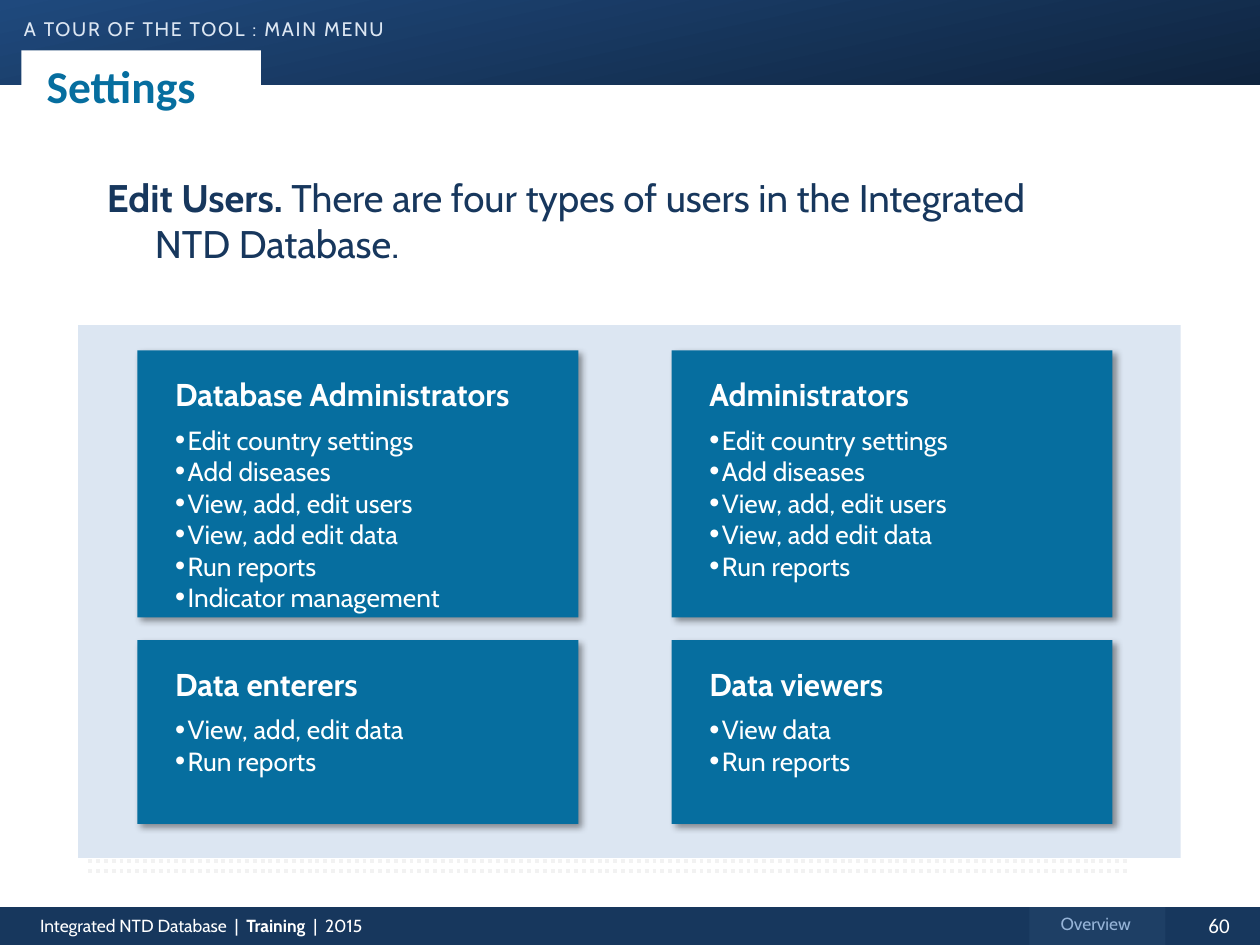
from dataclasses import dataclass

from lxml.etree import SubElement
from pptx import Presentation
from pptx.dml.color import RGBColor
from pptx.enum.dml import MSO_LINE_DASH_STYLE as DASH
from pptx.enum.shapes import MSO_CONNECTOR as CONNECTOR, MSO_SHAPE as SHAPE
from pptx.enum.text import MSO_ANCHOR as ANCHOR, PP_ALIGN as ALIGN
from pptx.oxml.ns import qn
from pptx.util import Inches, Pt


@dataclass(frozen=True)
class Theme:
    """Colours, fonts and type sizes of the deck."""
    white: str = "FFFFFF"
    navy: str = "17375D"
    band_start: str = "1F497D"
    band_end: str = "0F243E"
    button: str = "1E3F65"
    button_text: str = "95B3D7"
    teal: str = "066E9F"
    pale: str = "DCE6F2"
    dots: str = "F2F2F2"
    shadow: str = "000000"
    body_font: str = "Cabin"
    title_font: str = "Calibri"
    title: int = 26
    lead: int = 22
    card_title: int = 18
    card_item: int = 15
    section: int = 14
    number: int = 12
    footer: int = 10


THEME = Theme()

CARDS = [
    [("Database Administrators",
      ["Edit country settings", "Add diseases", "View, add, edit users",
       "View, add edit data", "Run reports", "Indicator management"]),
     ("Administrators",
      ["Edit country settings", "Add diseases", "View, add, edit users",
       "View, add edit data", "Run reports"])],
    [("Data enterers", ["View, add, edit data", "Run reports"]),
     ("Data viewers", ["View data", "Run reports"])],
]


def add_block(page, left, top, width, height, color, kind=SHAPE.RECTANGLE):
    """Add a borderless filled shape."""
    block = page.shapes.add_shape(
        kind, Inches(left), Inches(top), Inches(width), Inches(height))
    block.shadow.inherit = False
    block.fill.solid()
    block.fill.fore_color.rgb = RGBColor.from_string(color)
    block.line.fill.background()
    return block


def set_frame(frame, insets=(0.1, 0.05, 0.1, 0.05), wrap=True, anchor=ANCHOR.TOP):
    """Set the insets, wrapping and anchor of a text frame."""
    frame.margin_left, frame.margin_top, frame.margin_right, frame.margin_bottom = map(
        Inches, insets)
    frame.word_wrap = wrap
    frame.vertical_anchor = anchor
    return frame


def add_label(page, left, top, width, height, **options):
    """Add a text box and return its frame."""
    box = page.shapes.add_textbox(
        Inches(left), Inches(top), Inches(width), Inches(height))
    return set_frame(box.text_frame, **options)


def add_span(para, text, size, color, bold=False, font=THEME.body_font):
    """Add one styled run to a paragraph."""
    span = para.add_run()
    span.text = text
    span.font.size = Pt(size)
    span.font.name = font
    span.font.bold = bold
    span.font.color.rgb = RGBColor.from_string(color)
    return span


def set_indent(para, margin, indent):
    """Set the left margin and first-line indent of a paragraph."""
    props = para._p.get_or_add_pPr()
    props.set("marL", str(Inches(margin)))
    props.set("indent", str(Inches(indent)))
    return props


def add_header(page, left, top, width, height):
    """Draw the gradient band, the section name and the title tab."""
    band = add_block(page, left, top, width, height, THEME.band_start)
    band.fill.gradient()
    band.fill.gradient_angle = 360 - 78
    for stop, color in zip(band.fill.gradient_stops, (THEME.band_start, THEME.band_end)):
        stop.color.rgb = RGBColor.from_string(color)

    section = add_label(page, left + 0.19, top + 0.05, 2.92, 0.34,
                        insets=(0, 0.05, 0, 0.05), wrap=False)
    span = add_span(section.paragraphs[0], "a tour of the tool : main menu",
                    THEME.section, THEME.pale)
    props = span._r.get_or_add_rPr()
    props.set("cap", "small")
    props.set("spc", "100")

    tab = add_block(page, left + 0.17, top + 0.4, 1.9, 0.56, THEME.white,
                    SHAPE.ROUND_2_SAME_RECTANGLE)
    tab.adjustments[0] = 0
    frame = set_frame(tab.text_frame, (0.2, 0.05, 0.2, 0.05), False, ANCHOR.MIDDLE)
    frame.paragraphs[0].alignment = ALIGN.LEFT
    add_span(frame.paragraphs[0], "Settings", THEME.title, THEME.teal, True,
             THEME.title_font)


def add_footer(page, left, top, width, height):
    """Draw the footer band with its text, button and page number."""
    add_block(page, left, top, width, height, THEME.navy)
    add_block(page, left + 8.17, top, 1.08, 0.31, THEME.button)

    credit = add_label(page, left + 0.22, top + 0.01, 4.53, 0.27).paragraphs[0]
    for text, bold in (("Integrated NTD Database  |  ", False),
                       ("Training", True), ("  |  2015", False)):
        add_span(credit, text, THEME.footer, THEME.white, bold)

    button = add_label(page, left + 8.17, top, 1.05, 0.27).paragraphs[0]
    button.alignment = ALIGN.CENTER
    add_span(button, "Overview", THEME.footer, THEME.button_text)

    number = add_label(page, left + 9.35, top - 0.01, 0.65, 0.3).paragraphs[0]
    number.alignment = ALIGN.CENTER
    add_span(number, "60", THEME.number, THEME.white, font=THEME.title_font)


def add_lead(page, left, top, width, height):
    """Write the opening sentence with a hanging indent."""
    para = add_label(page, left, top, width, height).paragraphs[0]
    set_indent(para, 0.38, -0.38)
    add_span(para, "Edit Users. ", THEME.lead, THEME.navy, True)
    add_span(para, "There are four types of users in the Integrated NTD Database.",
             THEME.lead, THEME.navy)


def add_dotted_rule(page, left, top, width):
    """Draw one horizontal dotted line."""
    rule = page.shapes.add_connector(
        CONNECTOR.STRAIGHT, Inches(left), Inches(top), Inches(left + width), Inches(top))
    rule.line.color.rgb = RGBColor.from_string(THEME.dots)
    rule.line.width = Pt(2.25)
    rule.line.dash_style = DASH.ROUND_DOT
    SubElement(rule._element.spPr, qn("a:effectLst"))


def add_card(page, left, top, width, height, heading, items):
    """Draw one user type as a shadowed card with a bulleted list."""
    card = add_block(page, left, top, width, height, THEME.teal)
    effects = card._element.spPr.find(qn("a:effectLst"))
    shadow = SubElement(effects, qn("a:outerShdw"), blurRad=str(Pt(4)), dist=str(Pt(3)),
                        dir=str(45 * 60000), algn="tl", rotWithShape="0")
    color = SubElement(shadow, qn("a:srgbClr"), val=THEME.shadow)
    SubElement(color, qn("a:alpha"), val="40000")

    frame = set_frame(card.text_frame, (0.3, 0.2, 0.2, 0))
    title = frame.paragraphs[0]
    title.alignment = ALIGN.LEFT
    title.space_after = Pt(6)
    add_span(title, heading, THEME.card_title, THEME.white, True)
    for item in items:
        para = frame.add_paragraph()
        para.alignment = ALIGN.LEFT
        props = set_indent(para, 0.1, -0.1)
        SubElement(props, qn("a:buSzPct"), val="110000")
        SubElement(props, qn("a:buFont"), typeface="Arial")
        SubElement(props, qn("a:buChar"), char="•")
        add_span(para, item, THEME.card_item, THEME.white)


def add_user_panel(page, left, top, width, height):
    """Draw the pale panel, its dotted rules and the grid of cards."""
    add_block(page, left, top, width, height, THEME.pale)
    for offset in (0.1, 0.02):
        add_dotted_rule(page, left + 0.08, top + height + offset, 8.25)
    row_top = top + 0.2
    for row, row_height in zip(CARDS, (2.12, 1.46)):
        for column, (heading, items) in enumerate(row):
            add_card(page, left + 0.47 + column * 4.24, row_top, 3.5, row_height,
                     heading, items)
        row_top += row_height + 0.18


def main():
    """Build and save the deck."""
    deck = Presentation()
    deck.slide_width, deck.slide_height = Inches(10), Inches(7.5)
    page = deck.slides.add_slide(deck.slide_layouts[6])
    add_header(page, 0, 0, 10, 0.67)
    add_footer(page, 0, 7.2, 10, 0.3)
    add_lead(page, 0.75, 1.33, 8.08, 1)
    add_user_panel(page, 0.62, 2.58, 8.75, 4.23)
    deck.save("out.pptx")


if __name__ == "__main__":
    main()
